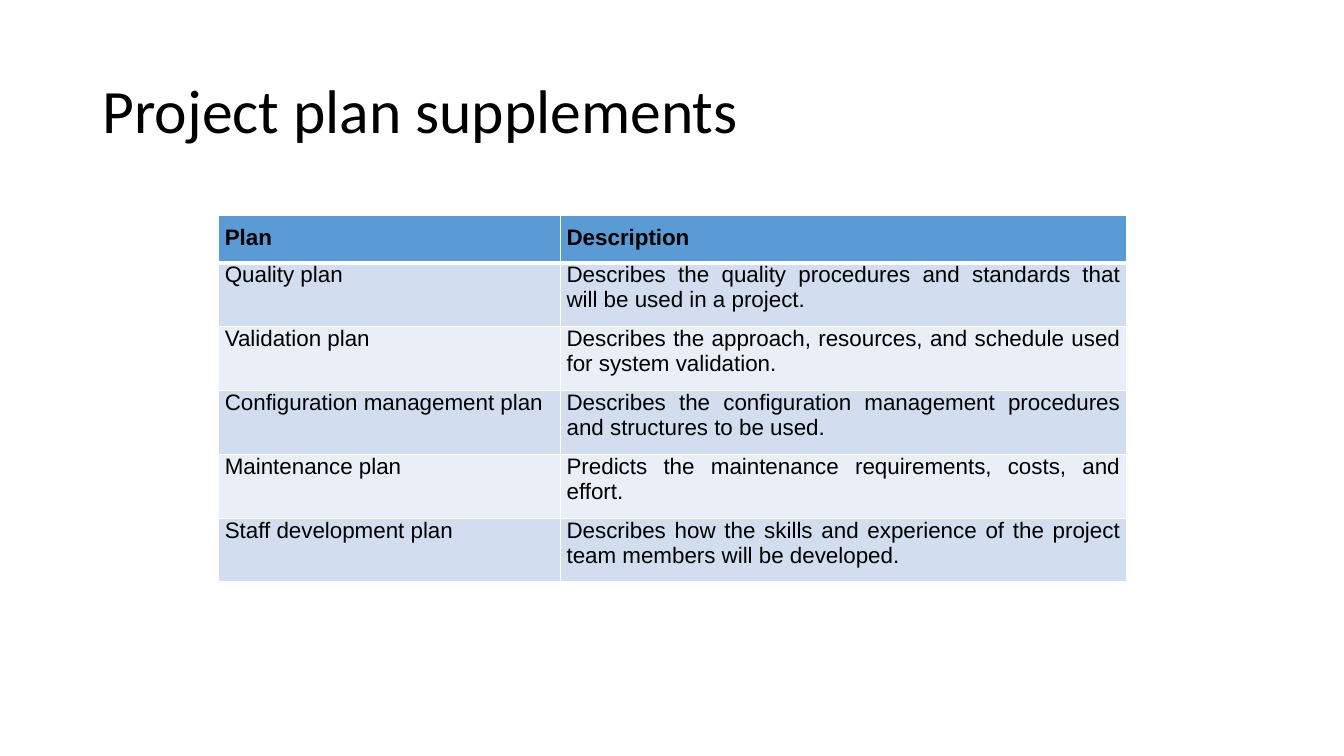
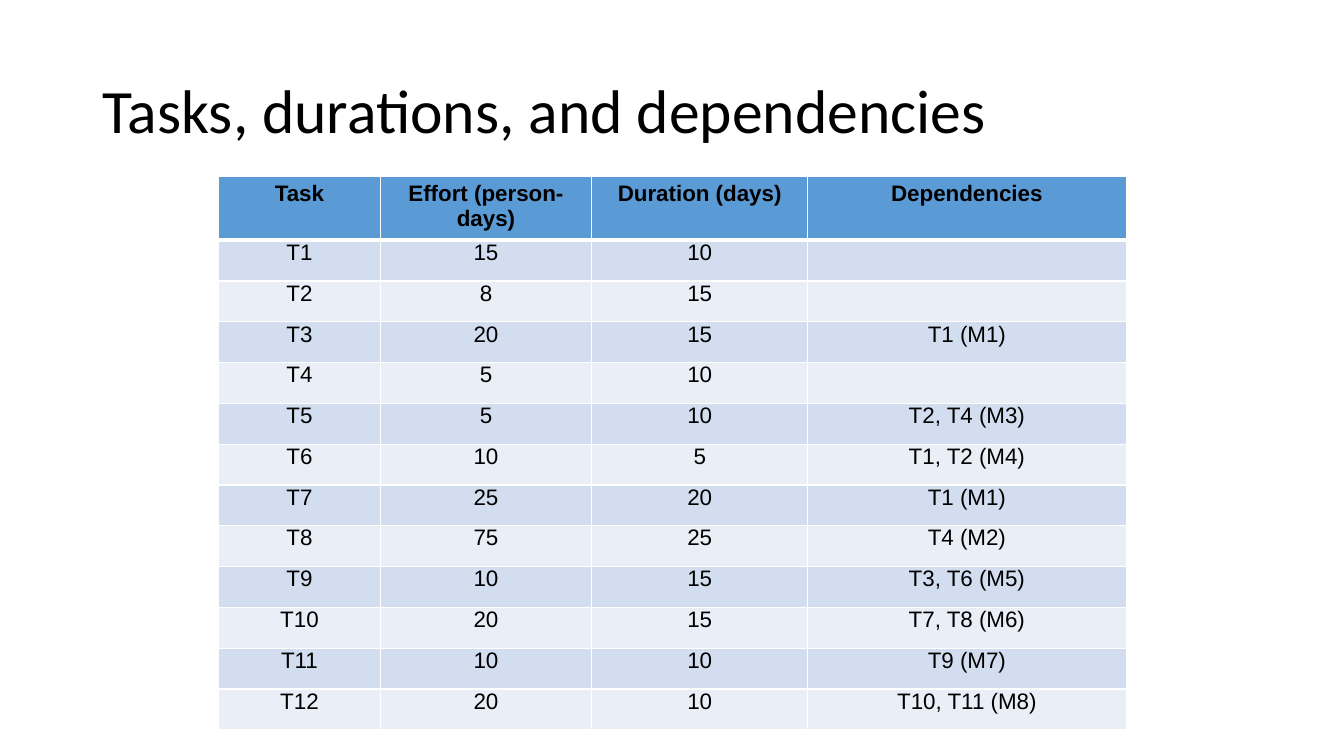
from dataclasses import dataclass

from lxml.etree import SubElement
from pptx import Presentation
from pptx.dml.color import RGBColor
from pptx.enum.text import MSO_ANCHOR as Anchor, PP_ALIGN as Align
from pptx.oxml.ns import qn
from pptx.slide import Slide
from pptx.table import _Cell as Cell
from pptx.text.text import _Paragraph as Paragraph
from pptx.util import Inches, Pt

BLACK, WHITE = "000000", "FFFFFF"
HEADER_FILL = "5B9BD5"
BAND_FILLS = ("D2DEEF", "EAEFF7")
TITLE_FONT, TABLE_FONT = "Calibri", "Arial"
TABLE_LEFT, TABLE_WIDTH = 2.17, 9
SIDE_MARGIN = 0.06


@dataclass(frozen=True)
class TableSlide:
    title: str
    top: float
    column_widths: tuple[float, ...]
    header_alignments: tuple[Align, ...]
    body_alignments: tuple[Align, ...]
    header_height: float
    body_height: float
    padding: float
    rows: tuple[tuple[str, ...], ...]


TABLE_SLIDES = (
    TableSlide(
        title="Project plan supplements",
        top=2.14,
        column_widths=(3.39, 5.61),
        header_alignments=(Align.JUSTIFY, Align.JUSTIFY),
        body_alignments=(Align.LEFT, Align.JUSTIFY),
        header_height=0.41,
        body_height=2.95,
        padding=0.1,
        rows=(
            ("Plan", "Description"),
            ("Quality plan",
             "Describes the quality procedures and standards that will be used in a project."),
            ("Validation plan",
             "Describes the approach, resources, and schedule used for system validation."),
            ("Configuration management plan",
             "Describes the configuration management procedures and structures to be used."),
            ("Maintenance plan",
             "Predicts the maintenance requirements, costs, and effort."),
            ("Staff development plan",
             "Describes how the skills and experience of the project team members"
             " will be developed."),
        ),
    ),
    TableSlide(
        title="Tasks, durations, and dependencies",
        top=1.75,
        column_widths=(1.6, 2.1, 2.14, 3.16),
        header_alignments=(Align.CENTER,) * 4,
        body_alignments=(Align.CENTER,) * 4,
        header_height=0.59,
        body_height=4.86,
        padding=0.05,
        rows=(
            ("Task", "Effort (person-days)", "Duration (days)", "Dependencies"),
            ("T1", "15", "10", ""),
            ("T2", "8", "15", ""),
            ("T3", "20", "15", "T1 (M1)"),
            ("T4", "5", "10", ""),
            ("T5", "5", "10", "T2, T4 (M3)"),
            ("T6", "10", "5", "T1, T2 (M4)"),
            ("T7", "25", "20", "T1 (M1)"),
            ("T8", "75", "25", "T4 (M2)"),
            ("T9", "10", "15", "T3, T6 (M5)"),
            ("T10", "20", "15", "T7, T8 (M6)"),
            ("T11", "10", "10", "T9 (M7)"),
            ("T12", "20", "10", "T10, T11 (M8)"),
        ),
    ),
)


def color(value: str) -> RGBColor:
    return RGBColor.from_string(value)


def style_paragraph(paragraph: Paragraph, name: str, size: float, bold: bool = False) -> None:
    font = paragraph.font
    font.name, font.size, font.bold = name, Pt(size), bold
    font.color.rgb = color(BLACK)


def add_title(slide: Slide, text: str) -> None:
    box = slide.shapes.add_textbox(Inches(0.92), Inches(0.4), Inches(11.5), Inches(1.45))
    frame = box.text_frame
    frame.word_wrap = True
    frame.vertical_anchor = Anchor.MIDDLE
    paragraph = frame.paragraphs[0]
    paragraph.text = text
    paragraph.line_spacing = 0.9
    style_paragraph(paragraph, TITLE_FONT, 44)


def set_borders(cell: Cell, bottom_width: float) -> None:
    """Draw white borders, 1 pt wide except at the bottom."""
    properties = cell._tc.get_or_add_tcPr()
    widths = {"a:lnL": 1, "a:lnR": 1, "a:lnT": 1, "a:lnB": bottom_width}
    for position, (tag, width) in enumerate(widths.items()):
        line = SubElement(properties, qn(tag), w=str(Pt(width)))
        properties.insert(position, line)
        fill = SubElement(line, qn("a:solidFill"))
        SubElement(fill, qn("a:srgbClr"), val=WHITE)


def fill_cell(cell: Cell, text: str, alignment: Align, fill: str,
              padding: float, is_header: bool) -> None:
    cell.margin_left = cell.margin_right = Inches(SIDE_MARGIN)
    cell.margin_top = Inches(padding if is_header else 0)
    cell.margin_bottom = Inches(padding)
    cell.fill.solid()
    cell.fill.fore_color.rgb = color(fill)
    set_borders(cell, bottom_width=3 if is_header else 1)
    paragraph = cell.text_frame.paragraphs[0]
    if text:
        paragraph.text = text
    paragraph.alignment = alignment
    style_paragraph(paragraph, TABLE_FONT, 16, is_header)


def add_table(slide: Slide, content: TableSlide) -> None:
    row_count = len(content.rows)
    table = slide.shapes.add_table(
        row_count, len(content.column_widths),
        Inches(TABLE_LEFT), Inches(content.top), Inches(TABLE_WIDTH),
        Inches(content.header_height + content.body_height),
    ).table
    for column, width in zip(table.columns, content.column_widths):
        column.width = Inches(width)
    for row_index, texts in enumerate(content.rows):
        is_header = row_index == 0
        if is_header:
            height, fill = content.header_height, HEADER_FILL
            alignments = content.header_alignments
        else:
            height = content.body_height / (row_count - 1)
            fill = BAND_FILLS[(row_index - 1) % 2]
            alignments = content.body_alignments
        table.rows[row_index].height = Inches(height)
        for column_index, (text, alignment) in enumerate(zip(texts, alignments)):
            fill_cell(table.cell(row_index, column_index), text, alignment, fill,
                      content.padding, is_header)


def main() -> None:
    presentation = Presentation()
    presentation.slide_width, presentation.slide_height = Inches(13.33), Inches(7.5)
    blank_layout = presentation.slide_layouts[6]
    for content in TABLE_SLIDES:
        slide = presentation.slides.add_slide(blank_layout)
        add_title(slide, content.title)
        add_table(slide, content)
    presentation.save("out.pptx")


if __name__ == "__main__":
    main()
